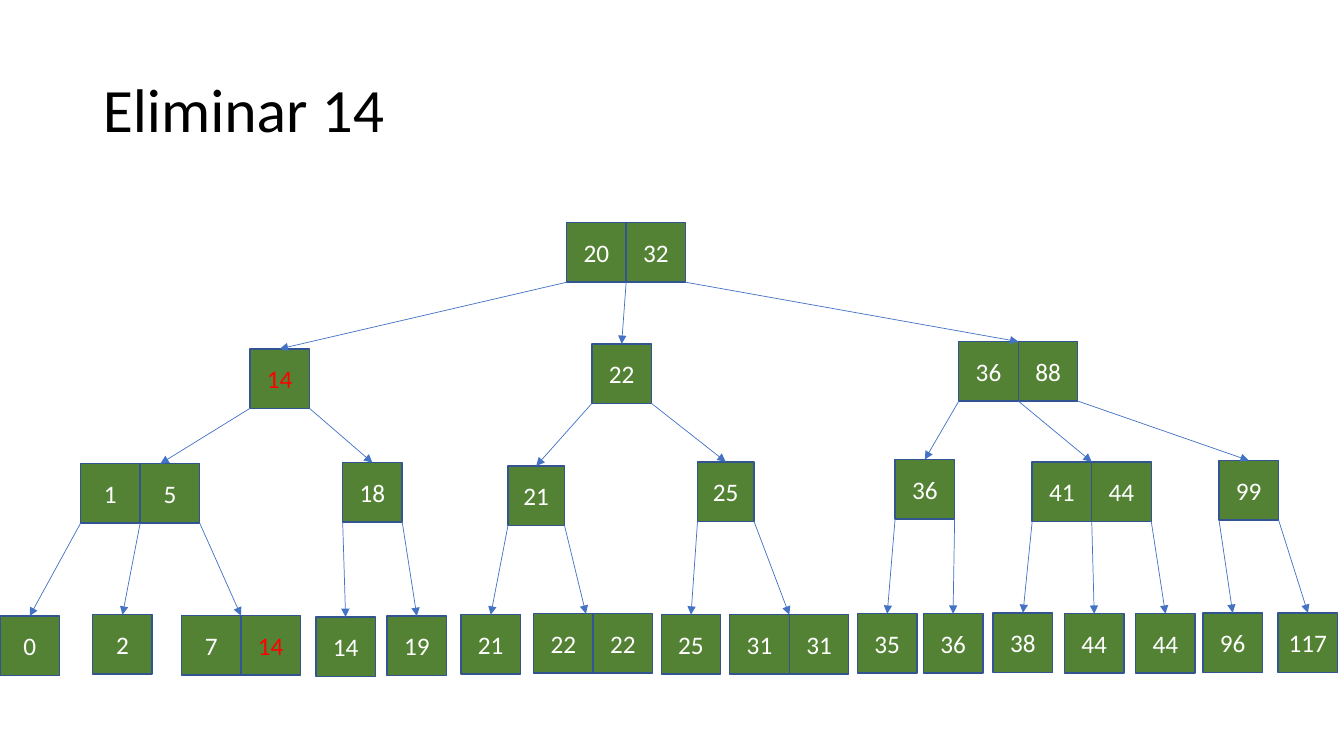
from dataclasses import dataclass

from lxml import etree
from pptx import Presentation
from pptx import util as u
from pptx.dml.color import RGBColor
from pptx.enum import shapes, text
from pptx.oxml import ns


@dataclass(frozen=True)
class Theme:
    """Colours and type sizes of the slide."""
    font: str = "Calibri"
    title_size: float = 44
    key_size: float = 18
    title: RGBColor = RGBColor.from_string("000000")
    key: RGBColor = RGBColor.from_string("FFFFFF")
    doomed: RGBColor = RGBColor.from_string("FF0000")
    fill: RGBColor = RGBColor.from_string("548235")
    border: RGBColor = RGBColor.from_string("325491")
    arrow: RGBColor = RGBColor.from_string("4472C4")


@dataclass(frozen=True)
class Box:
    """A region that is divided into 100 columns and 100 rows."""
    left: float
    top: float
    width: float
    height: float

    def x(self, columns):
        """Return the horizontal position of a column."""
        return int(self.left + self.width * columns / 100)

    def y(self, rows):
        """Return the vertical position of a row."""
        return int(self.top + self.height * rows / 100)


@dataclass(frozen=True)
class Node:
    """A tree node: keys, column, row, children and variations."""
    keys: tuple
    column: float
    row: float
    children: tuple = ()
    doomed: int = -1
    key_width: float = 4.43
    aim: float = 0.5

    def across(self, share):
        """Return the column at a share of the node's width."""
        return self.column + share * self.key_width * len(self.keys)


THEME = Theme()
KEY_ROWS = 13.11

LOW = Node((14,), 18.6, 27.8, (
    Node((1, 5), 6, 53.1, (
        Node((0,), 0, 86.7),
        Node((2,), 6.9, 86.4),
        Node((7, 14), 13.5, 86.6, doomed=1),
    ), aim=0.67),
    Node((18,), 25.5, 52.9, (
        Node((14,), 23.5, 86.9),
        Node((19,), 28.8, 86.7),
    )),
), doomed=0)

MIDDLE = Node((22,), 44.04, 26.7, (
    Node((21,), 37.8, 53.6, (
        Node((21,), 34.3, 86.4),
        Node((22, 22), 39.7, 86.2, aim=0.44),
    ), key_width=4.2),
    Node((25,), 51.9, 52.7, (
        Node((25,), 49.2, 86.4),
        Node((31, 31), 54.3, 86.4),
    ), key_width=4.2),
))

HIGH = Node((36, 88), 71.34, 26.2, (
    Node((36,), 66.6, 52.2, (
        Node((35,), 63.8, 86.2),
        Node((36,), 68.7, 86.2),
    )),
    Node((41, 44), 76.8, 52.7, (
        Node((38,), 73.9, 86),
        Node((44,), 79.2, 86.2),
        Node((44,), 84.5, 86.2),
    )),
    Node((99,), 90.7, 52.4, (
        Node((96,), 89.5, 86),
        Node((117,), 95.1, 86),
    )),
))

ROOT = Node((20, 32), 42.16, 0, (LOW, MIDDLE, HIGH))


def style(paragraph, size, color):
    """Set the font of a paragraph."""
    paragraph.font.name = THEME.font
    paragraph.font.size = u.Pt(size)
    paragraph.font.color.rgb = color


def place_title(slide, box, wording):
    """Fill the title placeholder and fit it to the box."""
    title = slide.shapes.title
    title.left, title.top = box.x(0), box.y(0)
    title.width, title.height = int(box.width), int(box.height)
    frame = title.text_frame
    frame.text = wording
    frame.vertical_anchor = text.MSO_ANCHOR.MIDDLE
    heading = frame.paragraphs[0]
    heading.alignment = text.PP_ALIGN.LEFT
    heading.line_spacing = 0.9
    style(heading, THEME.title_size, THEME.title)


def place_key(slide, box, node, index):
    """Draw one key of a node and return its square."""
    square = slide.shapes.add_shape(
        shapes.MSO_SHAPE.RECTANGLE,
        box.x(node.column + index * node.key_width), box.y(node.row),
        int(box.width * node.key_width / 100), int(box.height * KEY_ROWS / 100))
    square.shadow.inherit = False
    square.fill.solid()
    square.fill.fore_color.rgb = THEME.fill
    square.line.color.rgb = THEME.border
    square.line.width = u.Pt(1)
    frame = square.text_frame
    frame.margin_left = frame.margin_right = 0
    frame.vertical_anchor = text.MSO_ANCHOR.MIDDLE
    frame.text = str(node.keys[index])
    label = frame.paragraphs[0]
    label.alignment = text.PP_ALIGN.CENTER
    style(label, THEME.key_size, THEME.doomed if index == node.doomed else THEME.key)
    return square


def place_arrow(slide, box, parent, share, child, squares):
    """Draw the arrow from the lower edge of a parent to its child."""
    arrow = slide.shapes.add_connector(
        shapes.MSO_CONNECTOR.STRAIGHT,
        box.x(parent.across(share)), box.y(parent.row + KEY_ROWS),
        box.x(child.across(child.aim)), box.y(child.row))
    if len(squares) == 1:
        arrow.end_connect(squares[0], 0)
    arrow.line.color.rgb = THEME.arrow
    arrow.line.width = u.Pt(0.5)
    etree.SubElement(arrow.line._get_or_add_ln(), ns.qn("a:tailEnd"), type="triangle")
    etree.SubElement(arrow._element.spPr, ns.qn("a:effectLst"))


def place_tree(slide, box, node):
    """Draw a node with all its descendants and return its squares."""
    squares = [place_key(slide, box, node, index) for index in range(len(node.keys))]
    for order, child in enumerate(node.children):
        child_squares = place_tree(slide, box, child)
        share = order / (len(node.children) - 1)
        place_arrow(slide, box, node, share, child, child_squares)
    return squares


def main():
    """Build and save the slide."""
    deck = Presentation()
    deck.slide_width, deck.slide_height = u.Inches(13.33), u.Inches(7.5)
    slide = deck.slides.add_slide(deck.slide_layouts[5])
    page = Box(0, 0, deck.slide_width, deck.slide_height)
    heading = Box(page.x(6.9), page.y(5.33), page.width * 0.86, page.height * 0.19)
    tree = Box(page.x(0), page.y(29.47), page.width, page.height * 0.6)
    place_title(slide, heading, "Eliminar 14")
    place_tree(slide, tree, ROOT)
    deck.save("out.pptx")


if __name__ == "__main__":
    main()
